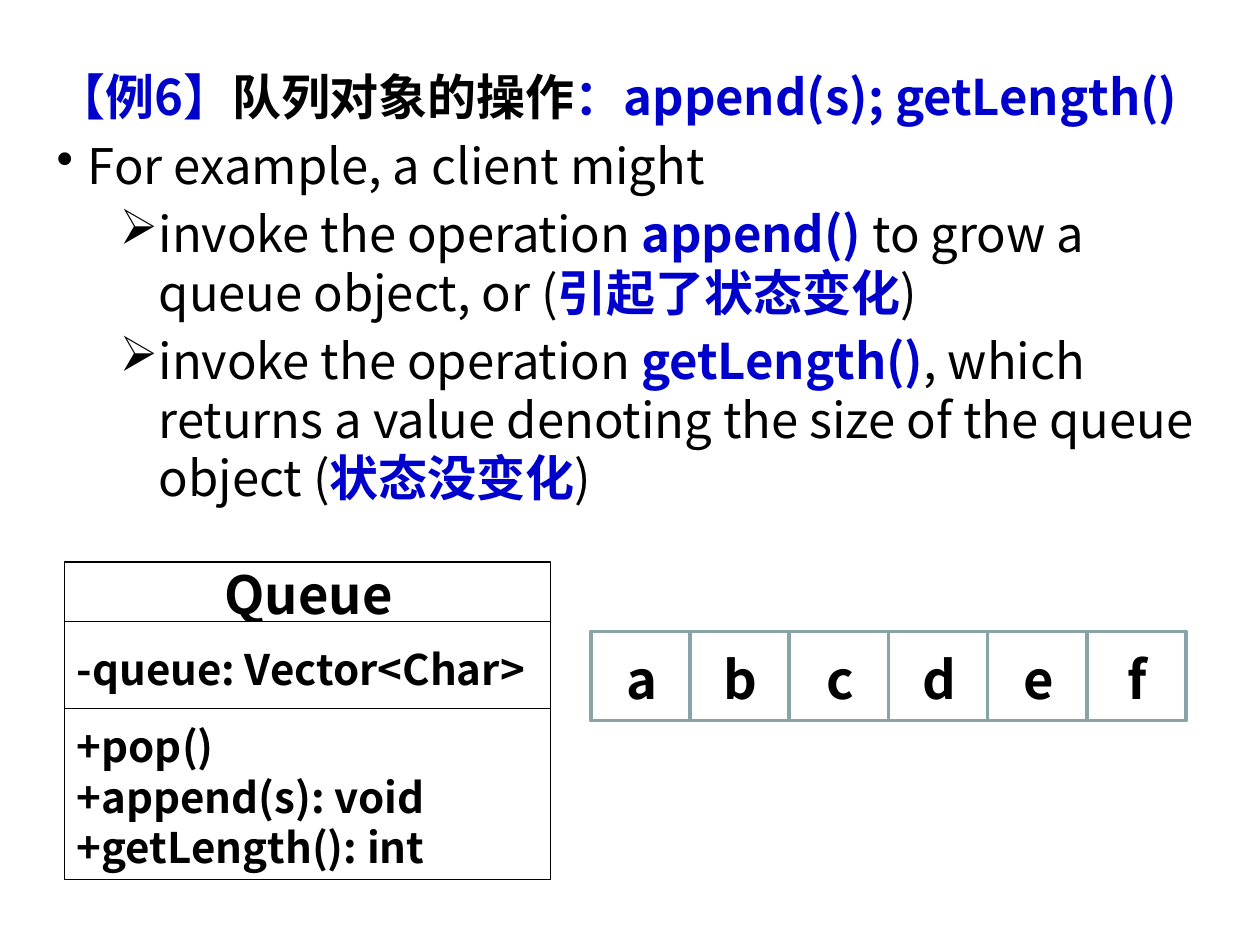
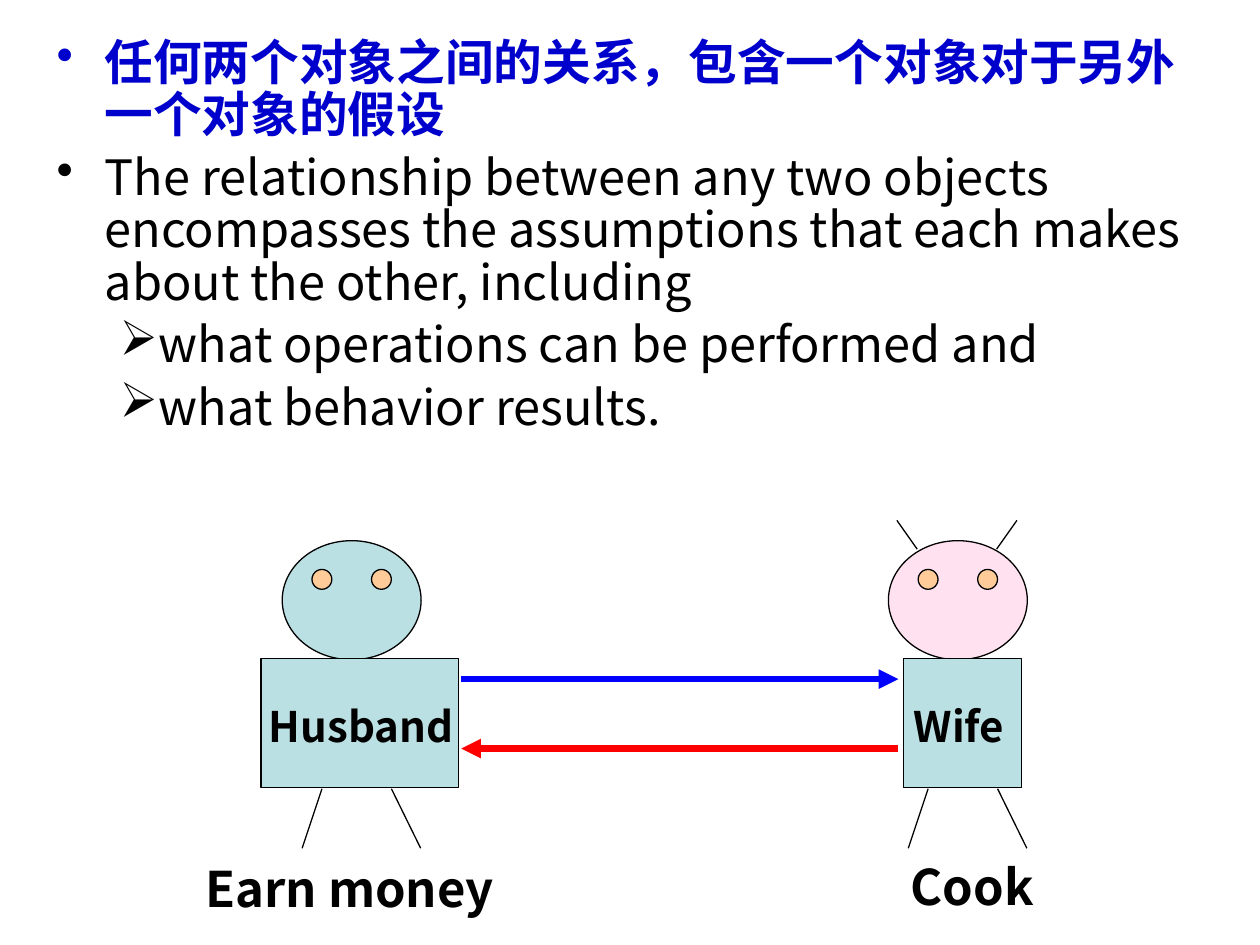
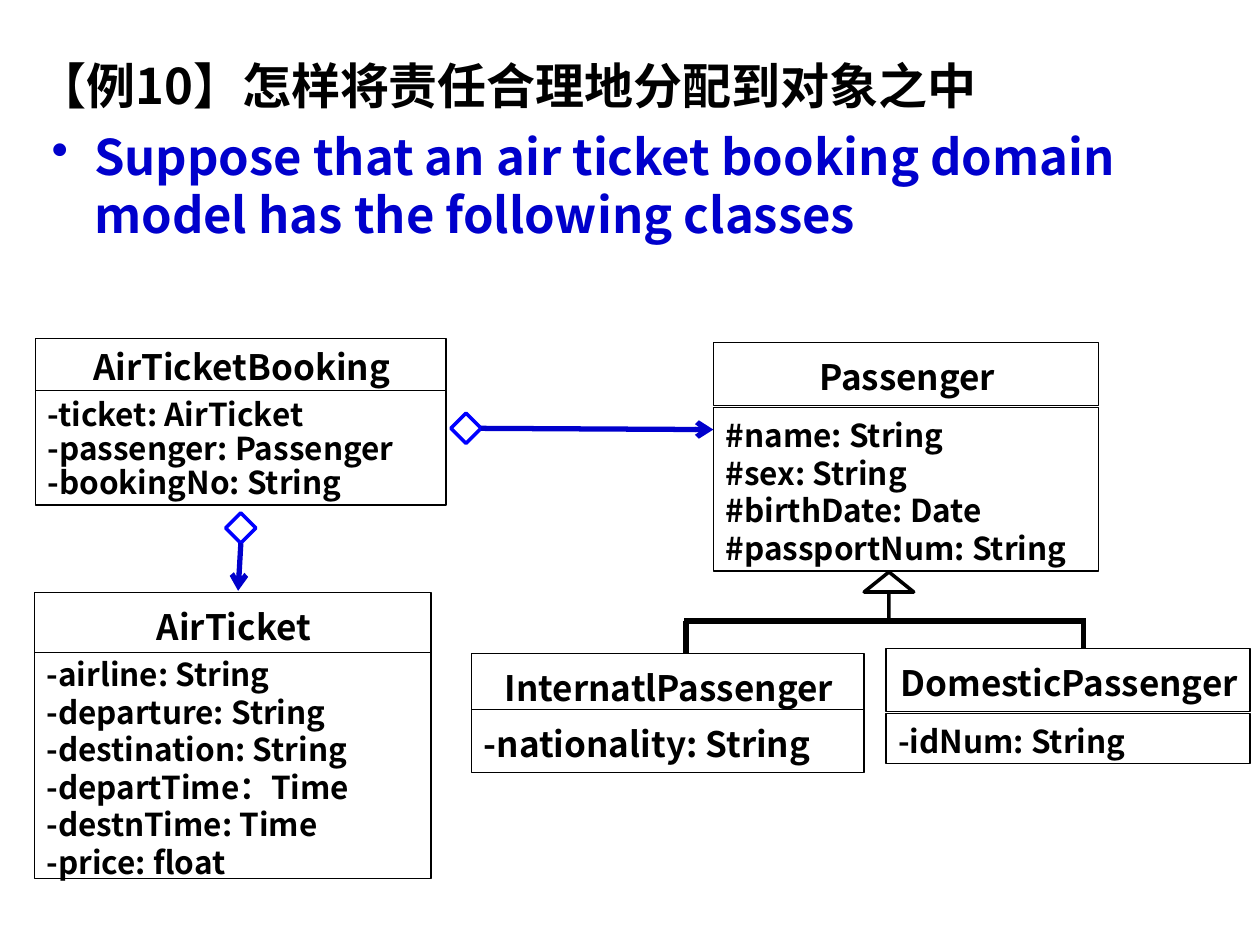
from lxml.etree import SubElement
from pptx import Presentation
from pptx.dml.color import RGBColor
from pptx.enum.shapes import MSO_CONNECTOR as Link, MSO_SHAPE as Shape
from pptx.enum.text import MSO_ANCHOR as Anchor, PP_ALIGN as Align
from pptx.oxml.ns import qn
from pptx.util import Cm, Pt

COLORS = {
    "white": "FFFFFF", "black": "000000", "ink_blue": "0000CC", "blue": "0000FF",
    "red": "FF0000", "cell_line": "89A4A7", "teal": "BBE0E3", "pink": "FF99CC",
    "eye": "FFCC99",
}
FONT = "Noto Sans CJK SC"
LINE_PITCH = 1.19
TIGHT_PITCH = 1.075
HEADING = (0, 0, None)
SUB_POINT = (2.06, -0.79, "➢")


def color(name):
    """Return the named colour."""
    return RGBColor.from_string(COLORS[name])


def add_span(para, text, size, tint="black", bold=True):
    """Add one run of text to a paragraph."""
    span = para.add_run()
    span.text = text
    font = span.font
    font.size, font.bold, font.name = Pt(size), bold, FONT
    font.color.rgb = color(tint)
    SubElement(font._element, qn("a:ea"), typeface=FONT)


def set_bullet(para, style, tint):
    """Set indents and an optional bullet on a paragraph."""
    margin, indent, symbol = style
    properties = para._p.get_or_add_pPr()
    properties.set("marL", str(Cm(margin)))
    properties.set("indent", str(Cm(indent)))
    if symbol:
        bullet_color = SubElement(properties, qn("a:buClr"))
        SubElement(bullet_color, qn("a:srgbClr"), val=COLORS[tint])
        SubElement(properties, qn("a:buChar"), char=symbol)


def set_frame(frame, anchor, wrap):
    """Set the shared insets, the anchor and the wrapping of a text frame."""
    frame.word_wrap = wrap
    frame.vertical_anchor = anchor
    frame.margin_left, frame.margin_right = Cm(0.25), Cm(0.2)
    frame.margin_top, frame.margin_bottom = Cm(0.23), Cm(0.13)


def next_para(frame, index):
    """Return the first paragraph, or a new one after it."""
    return frame.add_paragraph() if index else frame.paragraphs[0]


def fill_lines(frame, lines, size, align, pitch=LINE_PITCH):
    """Write bold black lines, one paragraph each."""
    for index, line in enumerate(lines):
        para = next_para(frame, index)
        para.alignment = align
        para.line_spacing = Pt(round(size * pitch, 1))
        add_span(para, line, size)


def add_body(page, box, points, size=28, pitch=LINE_PITCH, gap=6):
    """Add the main text, whose points are (style, spans)."""
    frame = page.shapes.add_textbox(*map(Cm, box)).text_frame
    set_frame(frame, Anchor.TOP, True)
    for index, (style, spans) in enumerate(points):
        para = next_para(frame, index)
        set_bullet(para, style, spans[0][1])
        para.line_spacing = Pt(round(size * pitch, 1))
        para.space_before = Pt(gap if index else 0)
        for text, tint, bold in spans:
            add_span(para, text, size, tint, bold)


def add_label(page, box, text):
    """Add a bold caption."""
    frame = page.shapes.add_textbox(*map(Cm, box)).text_frame
    set_frame(frame, Anchor.TOP, True)
    fill_lines(frame, [text], 28, Align.LEFT)


def add_figure(shapes, kind, box, fill="white", line="black", width=0.75):
    """Add an outlined preset shape; a fill of None leaves it empty."""
    figure = shapes.add_shape(kind, *map(Cm, box))
    figure.shadow.inherit = False
    if fill:
        figure.fill.solid()
        figure.fill.fore_color.rgb = color(fill)
    else:
        figure.fill.background()
    figure.line.color.rgb = color(line)
    figure.line.width = Pt(width)
    return figure


def add_text_box(shapes, box, lines, size, align=Align.CENTER, pitch=LINE_PITCH, **look):
    """Add a rectangle holding lines of text."""
    figure = add_figure(shapes, Shape.RECTANGLE, box, **look)
    set_frame(figure.text_frame, Anchor.MIDDLE, False)
    fill_lines(figure.text_frame, lines, size, align, pitch)


def add_line(shapes, start, end, tint="black", width=0.75, head=None, source=None):
    """Add a straight line; source is a (shape, site) pair to start from."""
    line = shapes.add_connector(Link.STRAIGHT, *map(Cm, (*start, *end)))
    line.line.color.rgb = color(tint)
    line.line.width = Pt(width)
    if head:
        SubElement(line.line._get_or_add_ln(), qn("a:tailEnd"), type=head)
    SubElement(line._element.spPr, qn("a:effectLst"))
    if source:
        line.begin_connect(*source)


def add_class(shapes, left, top, width, name, parts, size=20, header=1.27):
    """Add a class box; parts are (offset, height, lines, size, pitch)."""
    add_text_box(shapes, (left, top, width, header), [name], size)
    for offset, height, lines, part_size, pitch in parts:
        add_text_box(shapes, (left, top + offset, width, height), lines,
                     part_size, Align.LEFT, pitch)


def add_person(page, left, top, name, body_offset, body_width, head_fill="teal"):
    """Add a person whose head starts at the given corner."""
    shapes = page.shapes.add_group_shape().shapes
    head = add_figure(shapes, Shape.OVAL, (left, top, 2.8, 2.4), head_fill)
    add_text_box(shapes, (left + body_offset, top + 2.38, body_width, 2.6),
                 [name], 24, fill="teal")
    for hip, foot in ((0.8, 0.4), (2.2, 2.79)):
        add_line(shapes, (left + hip, top + 5), (left + foot, top + 6.2))
    for eye in (0.6, 1.8):
        add_figure(shapes, Shape.OVAL, (left + eye, top + 0.58, 0.4, 0.4), "eye")
    return shapes, head


def add_wife(page, left, top):
    """Add the wife, with a pale head and two antennae."""
    shapes, head = add_person(page, left, top, "Wife ", 0.3, 2.39, "pink")
    tint = head.fill._xPr.find(qn("a:solidFill"))[0]
    SubElement(tint, qn("a:alpha"), val="29000")
    for root, tip in ((0.58, 0.17), (2.18, 2.59)):
        add_line(shapes, (left + root, top + 0.17), (left + tip, top - 0.41))


def add_cells(page, left, top, width, height, letters):
    """Add a row of touching cells, one letter each."""
    for index, letter in enumerate(letters):
        add_text_box(page.shapes, (left + index * width, top, width, height),
                     [letter], 30, line="cell_line", width=2)


def add_inheritance(shapes, left, top, width):
    """Add the tree that joins two subclasses to their parent."""
    bar = top + 0.99
    arrow = add_figure(shapes, Shape.DOWN_ARROW, (left + 3.63, top, 1, 1), None, width=2)
    arrow.rotation = 180
    arrow.adjustments[0], arrow.adjustments[1] = 0, 0.404
    add_line(shapes, (left, bar), (left + width, bar), width=3)
    for offset in (0.04, width - 0.05):
        add_line(shapes, (left + offset, bar), (left + offset, bar + 1), width=3)


def add_aggregation(shapes, left, top, site, end):
    """Add a diamond with an arrow from one of its corners."""
    diamond = add_figure(shapes, Shape.DIAMOND, (left, top, 0.61, 0.61),
                         line="blue", width=2)
    add_line(shapes, (left, top), end, "ink_blue", 3, "arrow", (diamond, site))


def build_queue(page):
    """Build the slide on queue operations."""
    add_body(page, (0.89, 1.12, 24, 9.6), [
        (HEADING, [("【例6】", "ink_blue", True), ("队列对象的操作", "black", True),
                   ("：append(s); getLength()", "ink_blue", True)]),
        ((0.63, -0.63, "•"), [("For example, a client might", "black", False)]),
        (SUB_POINT, [("invoke the operation ", "black", False),
                     ("append()", "ink_blue", True),
                     (" to grow a queue object, or (", "black", False),
                     ("引起了状态变化", "ink_blue", True), (")", "black", False)]),
        (SUB_POINT, [("invoke the operation ", "black", False),
                     ("getLength()", "ink_blue", True),
                     (", which returns a value denoting the size of the queue object (",
                      "black", False),
                     ("状态没变化", "ink_blue", True), (")", "black", False)]),
    ])
    add_cells(page, 11.91, 12.73, 2, 1.8, "abcdef")
    add_class(page.shapes, 1.3, 11.33, 9.8, "Queue", [
        (1.2, 1.8, ["-queue: Vector<Char>"], 24, LINE_PITCH),
        (2.95, 3.45, ["+pop()", "+append(s): void", "+getLength(): int"], 24, LINE_PITCH),
    ], size=30, header=1.2)


def build_couple(page):
    """Build the slide on the relationship between two objects."""
    point = (0.97, -0.97, "•")
    add_body(page, (0.89, 0.53, 24, 9.7), [
        (point, [("任何两个对象之间的关系，包含一个对象对于另外一个对象的假设",
                  "ink_blue", True)]),
        (point, [("The relationship between any two objects encompasses the "
                  "assumptions that each makes about the other, including",
                  "black", False)]),
        (SUB_POINT, [("what operations can be performed and", "black", False)]),
        (SUB_POINT, [("what behavior results.", "black", False)]),
    ], size=27.8, pitch=TIGHT_PITCH)
    add_person(page, 5.69, 10.9, "Husband", -0.43, 3.99)
    add_wife(page, 17.91, 10.9)
    add_label(page, (18.11, 17.04, 3.6, 1.45), "Cook")
    add_line(page.shapes, (18.11, 15.09), (9.3, 15.09), "red", 3.75, "triangle")
    add_line(page.shapes, (9.3, 13.69), (18.11, 13.69), "blue", 3.75, "triangle")
    add_label(page, (3.89, 17.09, 6.8, 1.45), "Earn money")


def build_booking(page):
    """Build the slide on the ticket booking classes."""
    add_body(page, (0.51, 0.91, 23.4, 4.4), [
        (HEADING, [("【例10】怎样将责任合理地分配到对象之中", "black", True)]),
        ((1.14, -0.86, "•"), [("Suppose that an air ticket booking domain model has "
                               "the following classes", "ink_blue", True)]),
    ], gap=7)
    shapes = page.shapes.add_group_shape().shapes
    add_class(shapes, 14.38, 6.91, 7.77, "Passenger", [
        (1.3, 3.3, ["#name: String", "#sex: String", "#birthDate: Date",
                    "#passportNum: String"], 18, LINE_PITCH)])
    add_inheritance(shapes, 13.79, 11.53, 8.1)
    add_class(shapes, 0.71, 6.83, 8.28, "AirTicketBooking", [
        (1.04, 2.31, ["-ticket: AirTicket", "-passenger: Passenger",
                      "-bookingNo: String"], 18, TIGHT_PITCH)], header=1.04)
    add_class(shapes, 0.69, 11.94, 8, "AirTicket", [
        (1.22, 4.55, ["-airline: String", "-departure: String", "-destination: String",
                      "-departTime：Time", "-destnTime: Time", "-price: float"],
         18, LINE_PITCH)])
    add_class(shapes, 17.86, 13.08, 7.34, "DomesticPassenger", [
        (1.3, 1.02, ["-idNum: String"], 18, LINE_PITCH)])
    add_class(shapes, 9.5, 13.18, 7.92, "InternatlPassenger", [
        (1.12, 1.27, ["-nationality: String"], 20, LINE_PITCH)])
    add_aggregation(shapes, 9.09, 8.33, 3, (14.38, 8.66))
    add_aggregation(shapes, 4.55, 10.34, 2, (4.8, 11.91))


def main():
    """Build and save the deck."""
    deck = Presentation()
    deck.slide_width, deck.slide_height = Cm(25.4), Cm(19.05)
    for build in (build_queue, build_couple, build_booking):
        build(deck.slides.add_slide(deck.slide_layouts[6]))
    deck.save("out.pptx")


if __name__ == "__main__":
    main()
